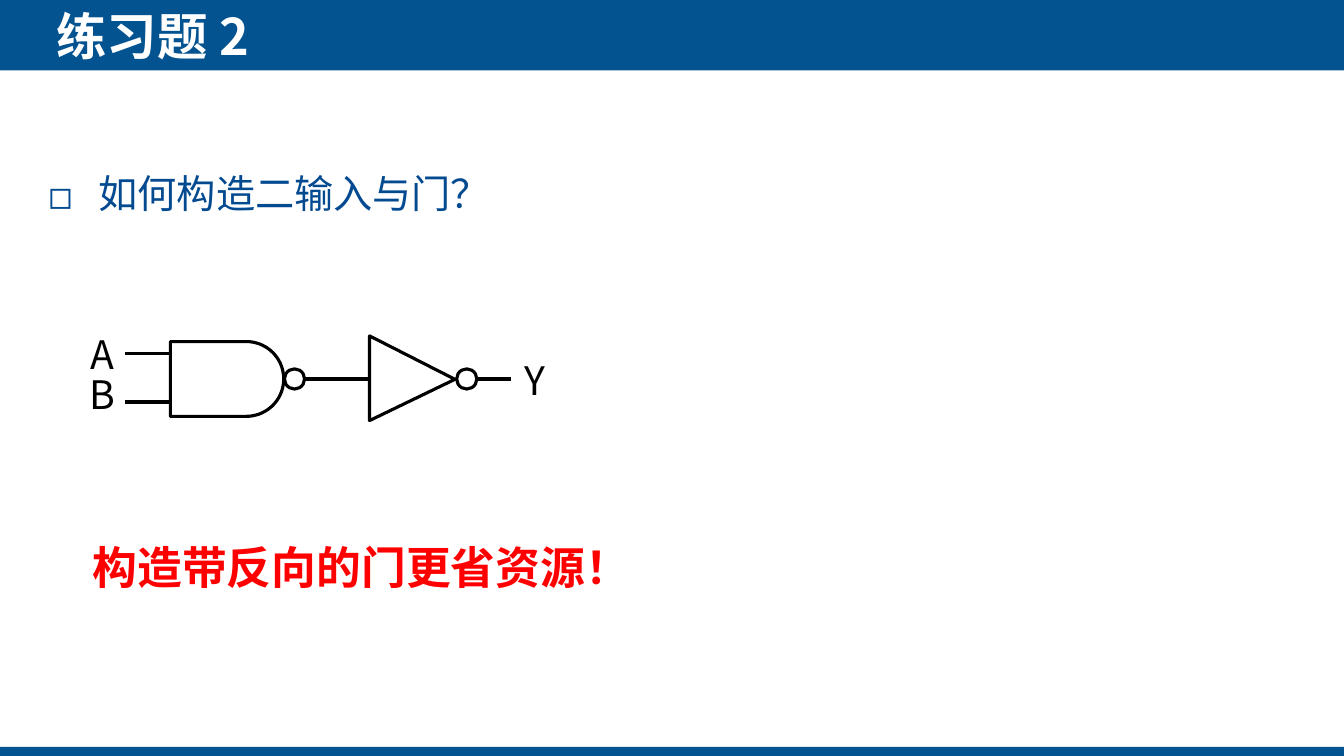
import math
import pptx
import pptx.dml.color
import pptx.enum.shapes
import pptx.enum.text
import pptx.oxml
import pptx.oxml.ns
import pptx.util

Pt = pptx.util.Pt
KIND = pptx.enum.shapes.MSO_SHAPE
ALIGN = pptx.enum.text.PP_ALIGN
FONT = "Noto Sans CJK SC"
BLUE, INK, BLACK, WHITE, RED = "035390", "034A90", "000000", "FFFFFF", "FF0000"


def tint(code):
    """Turn a hex string into a colour."""
    return pptx.dml.color.RGBColor.from_string(code)


def node(parent, tag, **attrs):
    """Append an XML element with the given attributes."""
    child = pptx.oxml.parse_xml(f"<{tag} {pptx.oxml.ns.nsdecls('a')}/>")
    for key, value in attrs.items():
        child.set(key, value)
    parent.append(child)


def write(slide, box, text, size, color, bold=False, align=ALIGN.LEFT):
    """Add a text box holding one run and return it."""
    label = slide.shapes.add_textbox(*map(Pt, box))
    label.text_frame.word_wrap = True
    para = label.text_frame.paragraphs[0]
    para.alignment = align
    run = para.add_run()
    run.text = text
    run.font.size = Pt(size)
    run.font.bold = bold
    run.font.name = FONT
    run.font.color.rgb = tint(color)
    node(run.font._element, "a:ea", typeface=FONT)
    return label


def band(slide, box):
    """Draw a solid blue band."""
    shape = slide.shapes.add_shape(KIND.RECTANGLE, *map(Pt, box))
    shape.shadow.inherit = False
    shape.fill.solid()
    shape.fill.fore_color.rgb = tint(BLUE)
    shape.line.fill.background()


def head(slide, box, text):
    """Draw the title band with its title."""
    left, top, width, height = box
    band(slide, box)
    frame = write(slide, (left + 40.3, top + 3.6, 617, 44), text, 36, WHITE, True).text_frame
    frame.vertical_anchor = pptx.enum.text.MSO_ANCHOR.MIDDLE
    frame.margin_left = frame.margin_right = frame.margin_top = frame.margin_bottom = 0


def ask(slide, box, text):
    """Write the question with a square bullet."""
    para = write(slide, box, text, 28, INK).text_frame.paragraphs[0]
    para.line_spacing = 1.5
    para.space_after = Pt(6)
    props = para._p.get_or_add_pPr()
    props.set("marL", str(Pt(36)))
    props.set("indent", str(-Pt(36)))
    node(props, "a:buFont", typeface=FONT)
    node(props, "a:buChar", char="◻")


def trace(shape):
    """Give a shape a plain black outline."""
    shape.shadow.inherit = False
    shape.fill.background()
    shape.line.color.rgb = tint(BLACK)
    shape.line.width = Pt(2.25)


def wire(slide, start, end, y):
    """Draw a level wire."""
    line = slide.shapes.add_connector(
        pptx.enum.shapes.MSO_CONNECTOR.STRAIGHT, Pt(start), Pt(y), Pt(end), Pt(y))
    line.line.color.rgb = tint(BLACK)
    line.line.width = Pt(2.25)
    node(line._element.spPr, "a:effectLst")


def nand(slide, box):
    """Draw the body of the gate, flat on the left and round on the right."""
    left, top, width, height = box
    ry = height / 2
    rx = ry
    turns = [math.radians(angle) for angle in range(-90, 91, 5)]
    arc = [(Pt(left + width - rx + rx * math.cos(turn)),
            Pt(top + ry + ry * math.sin(turn))) for turn in turns]
    form = slide.shapes.build_freeform(Pt(left), Pt(top))
    form.add_line_segments(arc + [(Pt(left), Pt(top + height))], close=True)
    trace(form.convert_to_shape())


def logic(slide, box):
    """Draw the NAND gate followed by an inverter."""
    left, top, width, height = box
    axis = top + height / 2
    nand(slide, (left + 65.5, axis - 26.7, 81, 53.4))
    cone = slide.shapes.add_shape(
        KIND.ISOSCELES_TRIANGLE, Pt(left + 208), Pt(axis - 31), Pt(60.5), Pt(61))
    cone.adjustments[0] = 0.513
    cone.rotation = 90
    trace(cone)
    for x in (147, 270):
        trace(slide.shapes.add_shape(
            KIND.OVAL, Pt(left + x), Pt(axis - 7.2), Pt(14.4), Pt(14.4)))
    for start, end, shift in ((33.2, 65.5, -18), (33.2, 65.5, 16.5),
                              (161.4, 207.5, 0), (284.4, 309, 0)):
        wire(slide, left + start, left + end, axis + shift)
    for text, x, shift in (("A", 0, -38.2), ("B", 0.6, -10), ("Y", 309.6, -20)):
        write(slide, (left + x, axis + shift, 33.2, 41), text, 28, BLACK,
              align=ALIGN.CENTER)


def main():
    """Build and save the slide."""
    deck = pptx.Presentation()
    deck.slide_width, deck.slide_height = Pt(960), Pt(540)
    slide = deck.slides.add_slide(deck.slide_layouts[6])
    head(slide, (0, 0, 960, 50.4), "练习题 2")
    band(slide, (0, 533.4, 960, 6.6))
    ask(slide, (27.4, 100.8, 905, 51.8), "如何构造二输入与门？")
    logic(slide, (56.2, 232.7, 343, 76))
    write(slide, (59, 381.6, 412, 46), "构造带反向的门更省资源！", 32, RED, True)
    deck.save("out.pptx")


if __name__ == "__main__":
    main()
